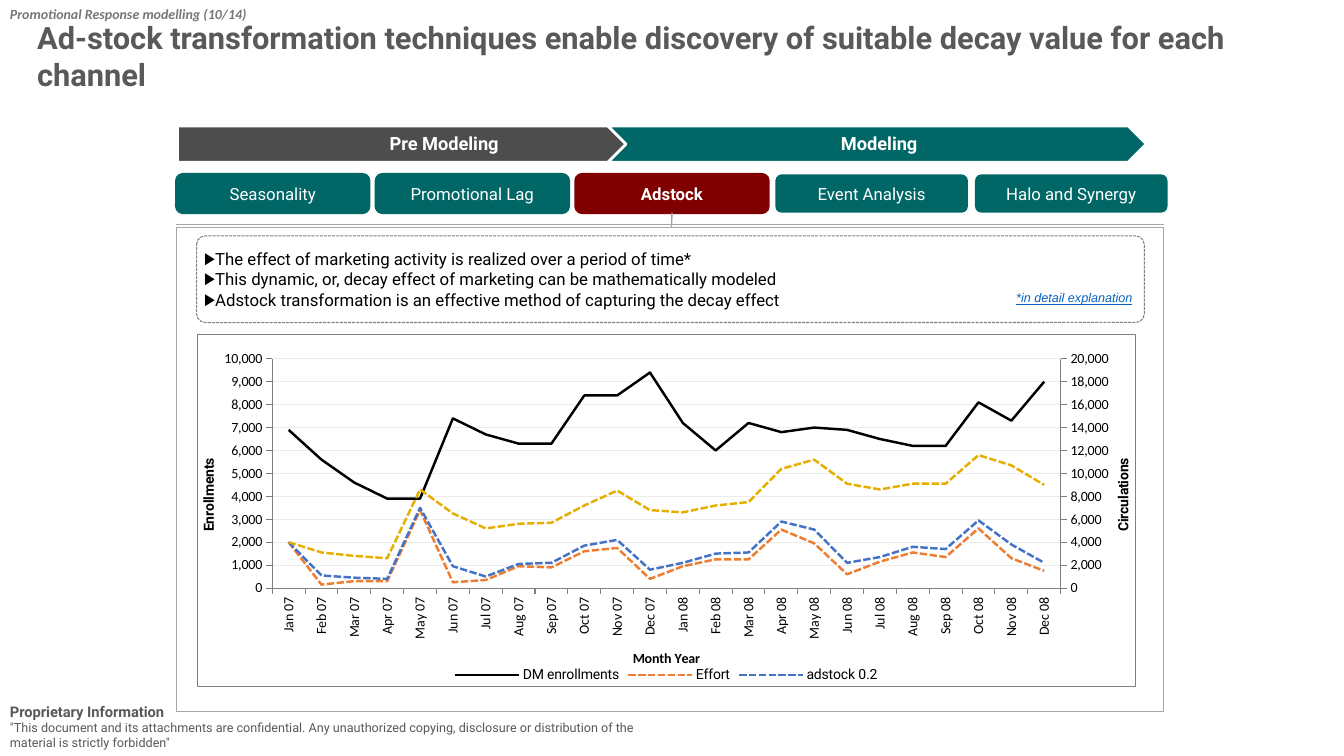
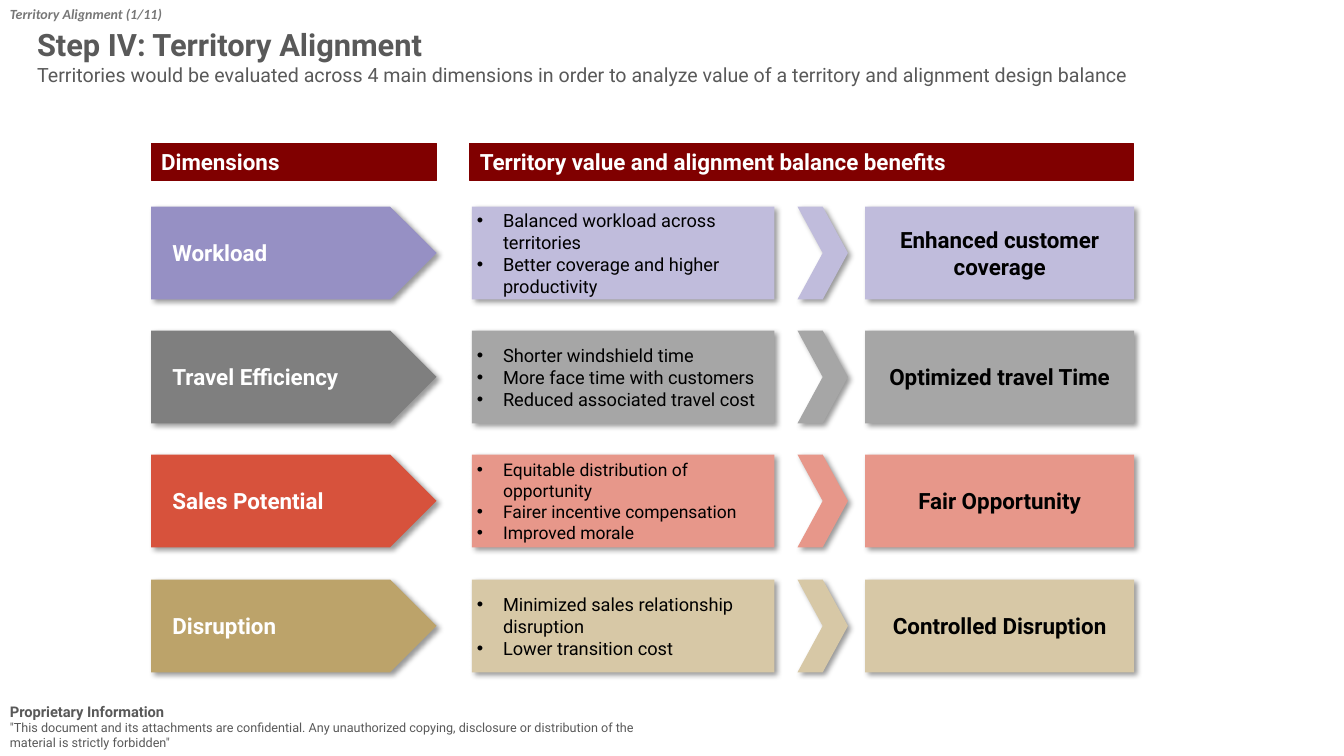
from copy import deepcopy
from dataclasses import dataclass

from lxml import etree
from pptx import Presentation
from pptx.chart.data import CategoryChartData
from pptx.dml.color import RGBColor
from pptx.enum.chart import XL_CHART_TYPE, XL_LEGEND_POSITION, XL_TICK_MARK
from pptx.enum.dml import MSO_LINE
from pptx.enum.shapes import MSO_CONNECTOR, MSO_SHAPE
from pptx.enum.text import MSO_ANCHOR, PP_ALIGN
from pptx.oxml import parse_xml
from pptx.oxml.ns import nsdecls, qn
from pptx.util import Pt

PX = 9144
RECT, ROUNDED = MSO_SHAPE.RECTANGLE, MSO_SHAPE.ROUNDED_RECTANGLE
PENTAGON, CHEVRON = MSO_SHAPE.PENTAGON, MSO_SHAPE.CHEVRON
TOP, MIDDLE = MSO_ANCHOR.TOP, MSO_ANCHOR.MIDDLE
LEFT, CENTER = PP_ALIGN.LEFT, PP_ALIGN.CENTER
DASH, STRAIGHT = MSO_LINE.SQUARE_DOT, MSO_CONNECTOR.STRAIGHT
LINE_CHART, LEGEND_BOTTOM = XL_CHART_TYPE.LINE, XL_LEGEND_POSITION.BOTTOM
TICK_OUTSIDE, TICK_NONE = XL_TICK_MARK.OUTSIDE, XL_TICK_MARK.NONE


@dataclass(frozen=True)
class Theme:
    font: str = "Roboto"
    tag_font: str = "Calibri"
    link_font: str = "Arial"
    text: str = "595959"
    tag: str = "777777"
    black: str = "000000"
    white: str = "FFFFFF"
    teal: str = "006666"
    maroon: str = "800000"
    charcoal: str = "4D4D4D"
    rule: str = "A6A6A6"
    border: str = "808080"
    grid: str = "ECECEC"
    link: str = "0563C1"
    title_size: float = 22
    head_size: float = 16
    subtitle_size: float = 14
    band_size: float = 13
    body_size: float = 12
    small_size: float = 10
    note_size: float = 9


THEME = Theme()


def style(size, color=THEME.text, name=THEME.font, **extra):
    return {"size": Pt(size), "color": color, "name": name, **extra}


TITLE = style(THEME.title_size, bold=True)
SUBTITLE = style(THEME.subtitle_size)
TAG = style(THEME.small_size, THEME.tag, THEME.tag_font, bold=True, italic=True)
OWNER = style(10.5, bold=True)
NOTE = style(THEME.note_size)
LINK = style(THEME.note_size, THEME.link, THEME.link_font, italic=True, underline=True)
STEP = style(THEME.body_size, THEME.white)
BAND = style(THEME.band_size, THEME.white, bold=True)
POINT = style(THEME.body_size, THEME.black)
HEAD = style(THEME.head_size, THEME.white, bold=True)
OUTCOME = style(THEME.head_size, THEME.black, bold=True)
TICK = style(THEME.small_size, THEME.black, THEME.tag_font)
LEGEND = style(THEME.small_size, THEME.black)


def set_values(target, values):
    for name, value in values.items():
        if name == "color":
            target.color.rgb = RGBColor.from_string(value)
        else:
            setattr(target, name, value)


def write(shape, lines, align=LEFT, anchor=MIDDLE, insets=(5, 5, 5, 5), bullet=None, hang=0):
    frame = shape.text_frame
    margins = zip(("margin_left", "margin_top", "margin_right", "margin_bottom"), insets)
    set_values(frame, {"word_wrap": True, "vertical_anchor": anchor,
                       **{name: size * PX for name, size in margins}})
    for index, (text, look) in enumerate(lines):
        para = frame.add_paragraph() if index else frame.paragraphs[0]
        para.alignment = align
        if bullet:
            props = para._p.get_or_add_pPr()
            props.set("marL", str(hang * PX))
            props.set("indent", str(-hang * PX))
            etree.SubElement(props, qn("a:buFont")).set("typeface", THEME.link_font)
            etree.SubElement(props, qn("a:buChar")).set("char", bullet)
        span = para.add_run()
        span.text = text
        set_values(span.font, look)


def add_text(page, box, lines, **layout):
    shape = page.shapes.add_textbox(*(side * PX for side in box))
    write(shape, lines, **{"insets": (10, 5, 10, 5), **layout})


def add_block(page, kind, box, fill=None, line=None, width=1, shadow=False):
    shape = page.shapes.add_shape(kind, *(side * PX for side in box))
    shape.shadow.inherit = False
    if fill:
        shape.fill.solid()
        shape.fill.fore_color.rgb = RGBColor.from_string(fill)
    else:
        shape.fill.background()
    if line:
        set_values(shape.line, {"color": line, "width": Pt(width)})
    else:
        shape.line.fill.background()
    if shadow:
        shape._element.spPr.find(qn("a:effectLst")).append(parse_xml(
            f'<a:outerShdw {nsdecls("a")} blurRad="50800" dist="38100" dir="2700000" algn="tl" '
            f'rotWithShape="0"><a:srgbClr val="{THEME.black}"><a:alpha val="40000"/>'
            '</a:srgbClr></a:outerShdw>'))
    return shape


def add_rule(page, x1, y1, x2, y2):
    rule = page.shapes.add_connector(STRAIGHT, x1 * PX, y1 * PX, x2 * PX, y2 * PX)
    set_values(rule.line, {"color": THEME.rule, "width": Pt(1)})
    etree.SubElement(rule._element.spPr, qn("a:effectLst"))
    return rule


def add_page(deck, tag, title):
    page = deck.slides.add_slide(deck.slide_layouts[6])
    add_text(page, (0, 692, 667, 58), [
        ("Proprietary Information", OWNER),
        ('"This document and its attachments are confidential. Any unauthorized copying, '
         'disclosure or distribution of the material is strictly forbidden"', NOTE)], anchor=TOP)
    add_text(page, (27, 20, 1217, 71), title)
    add_text(page, (0, 1, 300, 27), [(tag, TAG)], anchor=TOP)
    return page


def add_phases(page, box):
    left, top, width, height = box
    for text, kind, offset, fill in (("Pre Modeling", PENTAGON, 0, THEME.charcoal),
                                     ("Modeling", CHEVRON, 427, THEME.teal)):
        band = add_block(page, kind, (left + offset, top, width - 427, height),
                         fill, THEME.white, 2)
        write(band, [(text, BAND)], CENTER, insets=(6, 4, 2, 6))


def add_steps(page, box, names, active):
    left, top, width, height = box
    step_width = 191
    pitch = (width - step_width) // (len(names) - 1)
    steps = []
    for index, name in enumerate(names):
        chosen = index == active
        fill = THEME.maroon if chosen else THEME.teal
        step = add_block(page, ROUNDED, (left + index * pitch, top, step_width, height),
                         fill, fill if index <= active else None, 2)
        write(step, [(name, {**STEP, "bold": chosen})], CENTER)
        steps.append(step)
    return steps[active]


def add_frame(page, box, step):
    left, top, width, height = box
    right, bottom = left + width, top + height
    for ends in ((left, top, right, top), (left, top + 3, right, top + 3),
                 (left, top + 3, left, bottom), (right, top + 3, right, bottom),
                 (left, bottom, right, bottom)):
        add_rule(page, *ends)
    middle = (step.left + step.width // 2) // PX
    add_rule(page, middle, top - 12, middle, top + 2).begin_connect(step, 2)


def add_points(page, box, points, link):
    left, top, width, height = box
    panel = add_block(page, ROUNDED, box, None, THEME.border, 0.75)
    panel.adjustments[0] = 0.1
    panel.line.dash_style = DASH
    write(panel, [(point, POINT) for point in points], bullet="▶")
    add_text(page, (left + width - 140, top + 49, 141, 25), [(link, LINK)],
             align=CENTER, anchor=TOP)


def style_axis(axis, title, title_style):
    set_values(axis, {"has_title": True, "major_tick_mark": TICK_OUTSIDE,
                      "minor_tick_mark": TICK_NONE})
    set_values(axis.format.line, {"color": THEME.border, "width": Pt(0.75)})
    set_values(axis.tick_labels.font, TICK)
    frame = axis.axis_title.text_frame
    frame.text = title
    set_values(frame.paragraphs[0].runs[0].font, {**title_style, "bold": True})
    return frame


def set_child(element, name, value):
    element.find(qn(name)).set("val", value)


def add_second_axis(chart, title, maximum):
    plot_area = chart._chartSpace.chart.plotArea
    first = plot_area.find(qn("c:lineChart"))
    second = deepcopy(first)
    for series in first.findall(qn("c:ser"))[1:]:
        first.remove(series)
    second.remove(second.find(qn("c:ser")))
    first.addnext(second)
    for node, number in zip(second.findall(qn("c:axId")), ("5001", "5002")):
        node.set("val", number)
    categories = deepcopy(chart.category_axis._element)
    values = deepcopy(chart.value_axis._element)
    for axis, own, other in ((categories, "5001", "5002"), (values, "5002", "5001")):
        set_child(axis, "c:axId", own)
        set_child(axis, "c:crossAx", other)
    set_child(categories, "c:delete", "1")
    categories.remove(categories.find(qn("c:title")))
    values.remove(values.find(qn("c:majorGridlines")))
    set_child(values, "c:axPos", "r")
    set_child(values, "c:crosses", "max")
    set_child(values.find(qn("c:scaling")), "c:max", str(maximum))
    set_child(values, "c:majorUnit", "2000")
    next(values.iter(qn("a:t"))).text = title
    chart.value_axis._element.addnext(values)
    values.addnext(categories)


def add_trend_chart(page, box, months, series_rows):
    data = CategoryChartData(number_format="#,##0")
    data.categories = months
    for name, color, dash, values in series_rows:
        data.add_series(name, values)
    chart = page.shapes.add_chart(LINE_CHART, *(side * PX for side in box), data).chart
    set_values(chart, {"has_title": False, "has_legend": True})
    set_values(chart.font, TICK)
    set_values(chart.legend, {"position": LEGEND_BOTTOM, "include_in_layout": False})
    set_values(chart.legend.font, LEGEND)
    chart.plots[0].vary_by_categories = False
    for series, (name, color, dash, values) in zip(chart.plots[0].series, series_rows):
        series.smooth = False
        set_values(series.format.line, {"color": color, "width": Pt(1.75), "dash_style": dash})
    style_axis(chart.category_axis, "Month Year", TICK)
    labels = chart.category_axis._element.find(qn("c:txPr")).find(qn("a:bodyPr"))
    scale = chart.value_axis
    heading = style_axis(scale, "Enrollments", LEGEND)
    for body in (labels, heading._txBody.find(qn("a:bodyPr"))):
        body.set("rot", "-5400000")
        body.set("vert", "horz")
    set_values(scale, {"minimum_scale": 0, "maximum_scale": 10000, "major_unit": 1000})
    set_values(scale.tick_labels, {"number_format": "#,##0", "number_format_is_linked": False})
    set_values(scale.major_gridlines.format.line, {"color": THEME.grid, "width": Pt(0.75)})
    add_second_axis(chart, "Circulations", 20000)
    chart.legend._element.find(qn("c:legendPos")).addnext(parse_xml(
        f'<c:legendEntry {nsdecls("c")}><c:idx val="3"/><c:delete val="1"/></c:legendEntry>'))
    plot_area = chart._chartSpace.chart.plotArea
    for layout in plot_area.findall(qn("c:layout")):
        plot_area.remove(layout)
    places = "".join(f'<c:{key} val="{value}"/>' for key, value in (
        ("layoutTarget", "inner"), ("xMode", "edge"), ("yMode", "edge"),
        ("x", 0.08), ("y", 0.07), ("w", 0.84), ("h", 0.65)))
    plot_area.insert(0, parse_xml(
        f'<c:layout {nsdecls("c")}><c:manualLayout>{places}</c:manualLayout></c:layout>'))
    chart._chartSpace.chart.addnext(parse_xml(
        f'<c:spPr {nsdecls("c", "a")}><a:solidFill><a:srgbClr val="{THEME.white}"/></a:solidFill>'
        f'<a:ln w="9525"><a:solidFill><a:srgbClr val="{THEME.border}"/></a:solidFill></a:ln></c:spPr>'))


def add_dimension(page, box, name, strong, pale, points, size, outcome):
    left, top, width, height = box
    label = add_block(page, PENTAGON, (left, top, 283, height), strong, shadow=True)
    write(label, [(name, HEAD)], insets=(21, 5, 5, 5))
    benefits = add_block(page, RECT, (left + 318, top, 300, height), pale, shadow=True)
    write(benefits, [(point, style(size, THEME.black)) for point in points], bullet="•", hang=26)
    add_block(page, CHEVRON, (left + 641, top, 50, height), pale, shadow=True)
    result = add_block(page, RECT, (left + width - 267, top, 267, height), pale, shadow=True)
    write(result, [(outcome, OUTCOME)], CENTER)


def build_adstock(deck):
    page = add_page(deck, "Promotional Response modelling (10/14)", [
        ("Ad-stock transformation techniques enable discovery of suitable decay value "
         "for each channel", TITLE)])
    add_phases(page, (176, 125, 961, 36))
    step = add_steps(page, (175, 173, 983, 38), (
        "Seasonality", "Promotional Lag", "Adstock", "Event Analysis", "Halo and Synergy"), 2)
    add_frame(page, (175, 223, 979, 483), step)
    add_points(page, (195, 234, 940, 86), (
        "The effect of marketing activity is realized over a period of time*",
        "This dynamic, or, decay effect of marketing can be mathematically modeled",
        "Adstock transformation is an effective method of capturing the decay effect"),
        "*in detail explanation")
    names = "Jan Feb Mar Apr May Jun Jul Aug Sep Oct Nov Dec".split()
    add_trend_chart(page, (195, 331, 932, 351), [f"{name} {year}" for year in ("07", "08") for name in names], (
        ("DM enrollments", THEME.black, None, (
            6900, 5600, 4600, 3900, 3900, 7400, 6700, 6300, 6300, 8400, 8400, 9400,
            7200, 6000, 7200, 6800, 7000, 6900, 6500, 6200, 6200, 8100, 7300, 9000)),
        ("Effort", "ED7D31", DASH, (
            4000, 300, 600, 600, 6800, 500, 700, 1900, 1800, 3200, 3500, 800,
            1900, 2500, 2500, 5100, 3900, 1200, 2300, 3100, 2700, 5200, 2600, 1500)),
        ("adstock 0.2", "4472C4", DASH, (
            4000, 1100, 900, 800, 7000, 1900, 1000, 2100, 2200, 3700, 4200, 1600,
            2200, 3000, 3100, 5800, 5100, 2200, 2700, 3600, 3400, 5900, 3800, 2200)),
        ("adstock 0.7", "E6AF00", DASH, (
            4000, 3100, 2800, 2600, 8600, 6500, 5200, 5600, 5700, 7200, 8500, 6800,
            6600, 7200, 7500, 10400, 11200, 9100, 8600, 9100, 9100, 11600, 10700, 9000))))


def build_alignment(deck):
    page = add_page(deck, "Territory Alignment (1/11)", [
        ("Step IV: Territory Alignment", TITLE),
        ("Territories would be evaluated across 4 main dimensions in order to analyze value "
         "of a territory and alignment design balance", SUBTITLE)])
    for text, left, width in (("Dimensions", 150, 283),
                              ("Territory value and alignment balance benefits", 466, 658)):
        header = add_block(page, RECT, (left, 142, width, 37), THEME.maroon, THEME.maroon, 0.75)
        write(header, [(text, HEAD)], insets=(10, 5, 10, 5))
    for index, row in enumerate((
            ("Workload", "9690C4", "C0BCDC", ("Balanced workload across territories",
             "Better coverage and higher productivity"), 13, "Enhanced customer coverage"),
            ("Travel Efficiency", "7F7F7F", "A6A6A6", ("Shorter windshield time",
             "More face time with customers", "Reduced associated travel cost"), 13,
             "Optimized travel Time"),
            ("Sales Potential", "D7523C", "E7978A", ("Equitable distribution of opportunity",
             "Fairer incentive compensation", "Improved morale"), 12.5, "Fair Opportunity"),
            ("Disruption", "BCA36A", "D7C8A6", ("Minimized sales relationship disruption",
             "Lower transition cost"), 13, "Controlled Disruption"))):
        add_dimension(page, (150, 205 + index * 370 // 3, 975, 92), *row)


def main():
    deck = Presentation()
    set_values(deck, {"slide_width": 1333 * PX, "slide_height": 750 * PX})
    build_adstock(deck)
    build_alignment(deck)
    deck.save("out.pptx")


if __name__ == "__main__":
    main()
